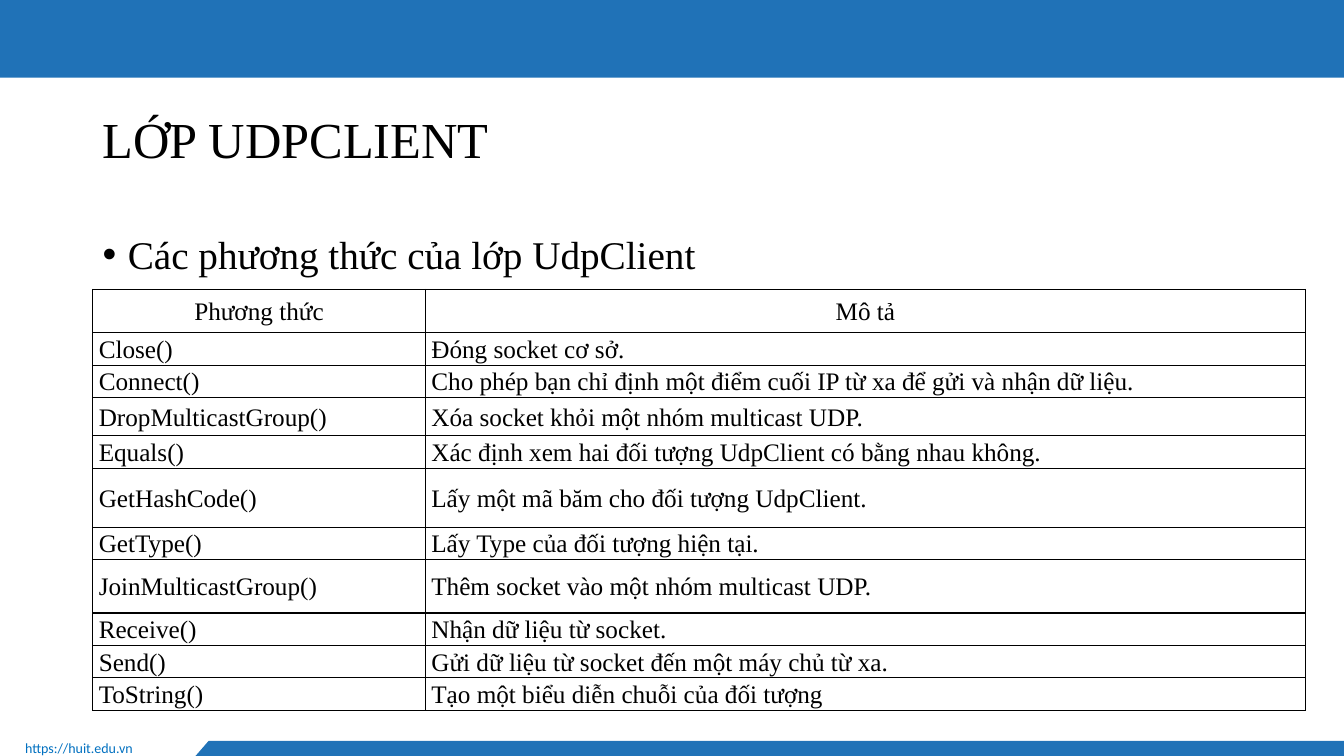
import pptx
import pptx.util
import pptx.dml.color
import pptx.enum.shapes
import pptx.enum.text
import pptx.oxml
import pptx.oxml.ns

Pt = pptx.util.Pt
ALIGN = pptx.enum.text.PP_ALIGN
MID = pptx.enum.text.MSO_ANCHOR.MIDDLE
HUES = {"bar": "2072B7", "link": "0070C0", "ink": "000000"}
SERIF = "Times New Roman"

deck = pptx.Presentation()
deck.slide_width = pptx.util.Inches(13.33)
deck.slide_height = pptx.util.Inches(7.5)
slide = deck.slides.add_slide(deck.slide_layouts[6])
shapes = slide.shapes


def place(left, top, width, height):
    wide, high = deck.slide_width / 100, deck.slide_height / 100
    return [round(n) for n in (left * wide, top * high, width * wide, height * high)]


def write(frame, text, size, face=SERIF, hue="ink"):
    frame.word_wrap = True
    para = frame.paragraphs[0]
    para.text = text
    para.font.size = Pt(size)
    para.font.name = face
    para.font.color.rgb = pptx.dml.color.RGBColor.from_string(HUES[hue])
    return para


band = shapes.add_shape(pptx.enum.shapes.MSO_SHAPE.RECTANGLE, *place(0, 0, 100, 10.27))
left, top, right, base = place(14.55, 98, 100, 100)
slant = place(15.53, 0, 0, 0)[0]
pen = shapes.build_freeform(slant, top)
pen.add_line_segments([(right, top), (right, base), (left, base)], close=True)
strip = pen.convert_to_shape()
for bar in (band, strip):
    bar.shadow.inherit = False
    bar.fill.solid()
    bar.fill.fore_color.rgb = pptx.dml.color.RGBColor.from_string(HUES["bar"])
    bar.line.fill.background()

site = shapes.add_textbox(*place(1.13, 97.2, 13.35, 3.6))
write(site.text_frame, "https://huit.edu.vn", 10, "Calibri", "link")

title = shapes.add_textbox(*place(6.9, 12.93, 86.27, 11.73))
title.text_frame.vertical_anchor = MID
write(title.text_frame, "LỚP UDPCLIENT", 36).line_spacing = 0.9

body = shapes.add_textbox(*place(6.9, 26.67, 86.27, 63.47))
lead = body.text_frame.paragraphs[0]
props = lead._p.get_or_add_pPr()
props.set("marL", str(pptx.util.Inches(0.25)))
props.set("indent", str(-pptx.util.Inches(0.25)))
ns = pptx.oxml.ns.nsdecls("a")
props.append(pptx.oxml.parse_xml(f'<a:buFont {ns} typeface="Arial"/>'))
props.append(pptx.oxml.parse_xml(f'<a:buChar {ns} char="•"/>'))
write(body.text_frame, "Các phương thức của lớp UdpClient", 28).line_spacing = 1.5

ROW = 4.27
rows = [
    ("Phương thức", "Mô tả", 5.73),
    ("Close()", "Đóng socket cơ sở.", ROW),
    ("Connect()", "Cho phép bạn chỉ định một điểm cuối IP từ xa để gửi và nhận dữ liệu.", ROW),
    ("DropMulticastGroup()", "Xóa socket khỏi một nhóm multicast UDP.", 5.07),
    ("Equals()", "Xác định xem hai đối tượng UdpClient có bằng nhau không.", ROW),
    ("GetHashCode()", "Lấy một mã băm cho đối tượng UdpClient.", 7.8),
    ("GetType()", "Lấy Type của đối tượng hiện tại.", ROW),
    ("JoinMulticastGroup()", "Thêm socket vào một nhóm multicast UDP.", 7.07),
    ("Receive()", "Nhận dữ liệu từ socket.", ROW),
    ("Send()", "Gửi dữ liệu từ socket đến một máy chủ từ xa.", ROW),
    ("ToString()", "Tạo một biểu diễn chuỗi của đối tượng", ROW),
]
table = shapes.add_table(len(rows), 2, *place(6.9, 38.3, 90.24, 55.56)).table
table.first_row = table.horz_banding = False
for col, share in zip(table.columns, (24.75, 65.49)):
    col.width = place(0, 0, share, 0)[2]
for r, (name, note, tall) in enumerate(rows):
    table.rows[r].height = place(0, 0, 0, tall)[3]
    for c, text in enumerate((name, note)):
        cell = table.cell(r, c)
        cell.margin_left = cell.margin_right = pptx.util.Inches(0.06)
        cell.margin_top = cell.margin_bottom = 0
        cell.vertical_anchor = MID
        cell.fill.background()
        para = write(cell.text_frame, text, 18)
        para.alignment = ALIGN.LEFT if r else ALIGN.CENTER
        para.line_spacing = 1.07
        para.space_after = Pt(8)
        for i, side in enumerate("LRTB"):
            edge = pptx.oxml.parse_xml(
                f'<a:ln{side} {ns} w="{Pt(1)}"><a:solidFill>'
                f'<a:srgbClr val="{HUES["ink"]}"/></a:solidFill></a:ln{side}>')
            cell._tc.get_or_add_tcPr().insert(i, edge)

deck.save("out.pptx")
